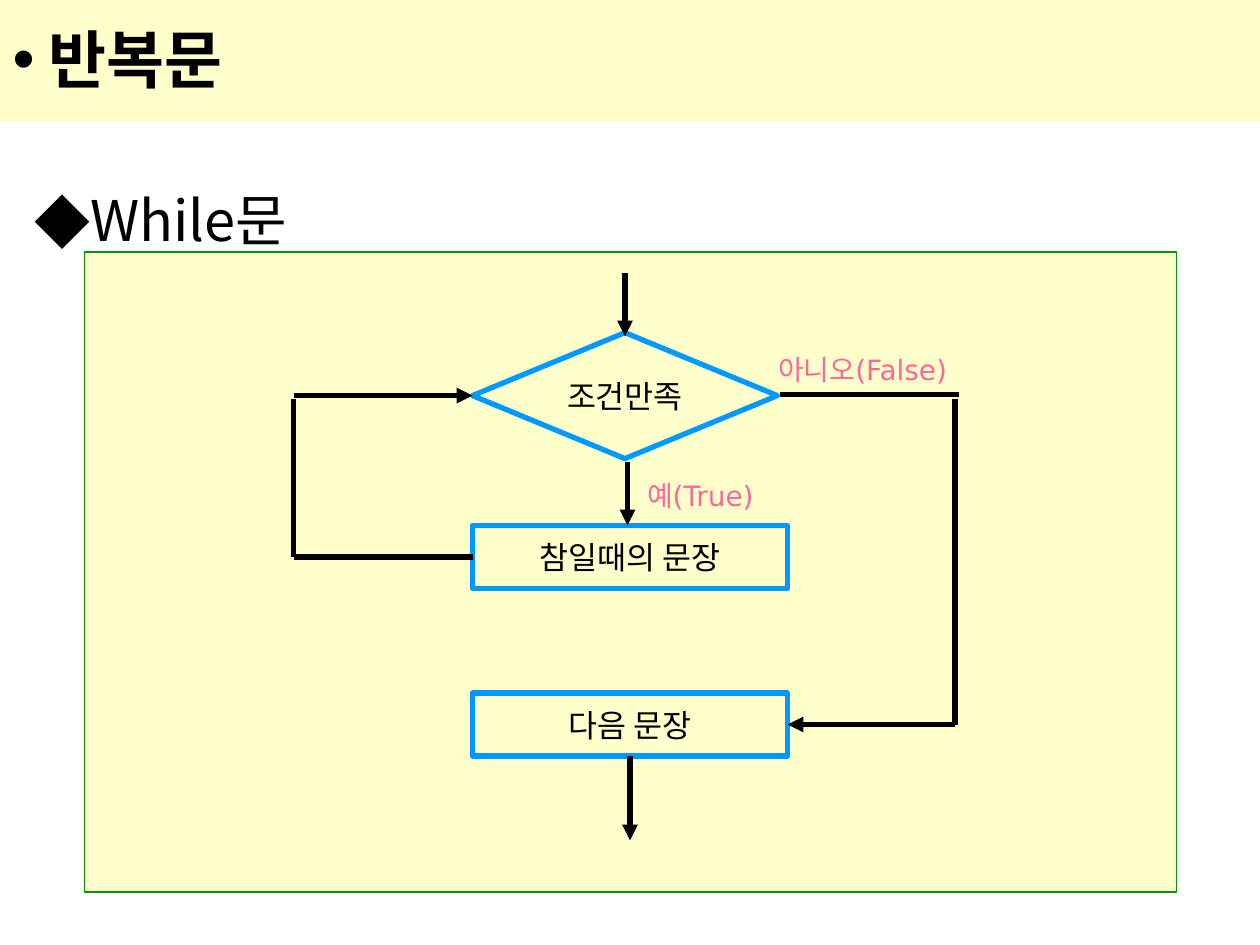
import pptx
import pptx.util
import pptx.dml.color
import pptx.enum.shapes
import pptx.enum.text
import pptx.oxml
import pptx.oxml.ns

Inches, Pt = pptx.util.Inches, pptx.util.Pt
SHAPE = pptx.enum.shapes.MSO_SHAPE
ALIGN = pptx.enum.text.PP_ALIGN
ANCHOR = pptx.enum.text.MSO_ANCHOR
AUTO = pptx.enum.text.MSO_AUTO_SIZE

COLORS = {"cream": "FFFFCC", "green": "009900", "blue": "0099FF",
          "pink": "FF6699", "black": "000000"}
CJK, LATIN = "Noto Sans CJK KR", "DejaVu Sans"


def rgb(name):
    return pptx.dml.color.RGBColor.from_string(COLORS[name])


def add_xml(parent, tag, **attrs):
    el = pptx.oxml.parse_xml(f'<a:{tag} {pptx.oxml.ns.nsdecls("a")}/>')
    for key, value in attrs.items():
        el.set(key, value)
    parent.append(el)


def set_text(tf, text, size=18, font=CJK, color="black", bold=False,
             align=ALIGN.LEFT, anchor=ANCHOR.TOP, wrap=True, before=0,
             auto_size=AUTO.NONE):
    tf.word_wrap, tf.vertical_anchor, tf.auto_size = wrap, anchor, auto_size
    p = tf.paragraphs[0]
    p.alignment, p.space_before = align, Pt(before)
    r = p.add_run()
    r.text = text
    r.font.name, r.font.size, r.font.bold = font, Pt(size), bold
    r.font.color.rgb = rgb(color)
    add_xml(r.font._element, "ea", typeface=font)
    return p


def set_bullet(p, char, font, indent=0):
    pPr = p._p.get_or_add_pPr()
    pPr.set("marL", str(Inches(indent)))
    pPr.set("indent", str(-Inches(indent)))
    add_xml(pPr, "buFont", typeface=font)
    add_xml(pPr, "buChar", char=char)


def place(sp, x, y, w, h):
    sp.left, sp.top, sp.width, sp.height = map(Inches, (x, y, w, h))


def add_box(s, kind, x, y, w, h, line, width, fill=None, text=None):
    sp = s.shapes.add_shape(kind, *map(Inches, (x, y, w, h)))
    sp.shadow.inherit = False
    if fill:
        sp.fill.solid()
        sp.fill.fore_color.rgb = rgb(fill)
    else:
        sp.fill.background()
    sp.line.color.rgb, sp.line.width = rgb(line), Pt(width)
    if text:
        set_text(sp.text_frame, text, align=ALIGN.CENTER,
                 anchor=ANCHOR.MIDDLE, wrap=False)


def add_line(s, x1, y1, x2, y2, arrow=False):
    c = s.shapes.add_connector(pptx.enum.shapes.MSO_CONNECTOR.STRAIGHT,
                               *map(Inches, (x1, y1, x2, y2)))
    c.line.color.rgb, c.line.width = rgb("black"), Pt(3)
    if arrow:
        add_xml(c.line._get_or_add_ln(), "tailEnd", type="triangle")
    add_xml(c._element.spPr, "effectLst")


def add_label(s, text, x, y, w, h, align):
    tb = s.shapes.add_textbox(*map(Inches, (x, y, w, h)))
    set_text(tb.text_frame, text, size=16, font=LATIN, color="pink",
             align=align, before=10, auto_size=AUTO.SHAPE_TO_FIT_TEXT)


def title_band(s, x, y, w, h):
    sp = s.shapes.title
    place(sp, x, y, w, h)
    sp.fill.solid()
    sp.fill.fore_color.rgb = rgb("cream")
    p = set_text(sp.text_frame, " 반복문", size=36, bold=True,
                 anchor=ANCHOR.MIDDLE)
    set_bullet(p, "•", "Arial")


def body_list(s, x, y, w, h):
    sp = s.placeholders[1]
    place(sp, x, y, w, h)
    p = set_text(sp.text_frame, "While문", size=32, before=8)
    set_bullet(p, "◆", CJK, 0.38)


def flowchart(s, x, y, w, h):
    add_box(s, SHAPE.RECTANGLE, x, y, w, h, "green", 0.75, fill="cream")

    # Condition and the two statements
    left, box_w, box_h = x + 3.08, 2.5, 0.5
    right = left + box_w
    cond_y, true_y, next_y = y + 0.64, y + 2.17, y + 3.5
    add_box(s, SHAPE.DIAMOND, left, cond_y, 2.42, 1, "blue", 3, text="조건만족")
    for top, text in ((true_y, "참일때의 문장"), (next_y, "다음 문장")):
        add_box(s, SHAPE.RECTANGLE, left, top, box_w, box_h, "blue", 3, text=text)

    # Downward flow
    for cx, y1, y2 in ((x + 4.29, y + 0.17, y + 0.67),
                       (x + 4.31, y + 1.67, true_y),
                       (x + 4.33, next_y + box_h, y + 4.67)):
        add_line(s, cx, y1, cx, y2, arrow=True)

    # Loop back to the condition
    loop_x, loop_y, cond_mid = x + 1.66, true_y + box_h / 2, cond_y + 0.5
    add_line(s, left, loop_y, loop_x, loop_y)
    add_line(s, loop_x, cond_mid + 0.03, loop_x, loop_y)
    add_line(s, loop_x, cond_mid, left, cond_mid, arrow=True)

    # Exit to the next statement
    exit_x, exit_y = x + 6.91, next_y + box_h / 2
    add_line(s, exit_x + 0.03, cond_mid - 0.01, left + 2.44, cond_mid - 0.01)
    add_line(s, exit_x, cond_mid + 0.03, exit_x, exit_y)
    add_line(s, exit_x, exit_y, right, exit_y, arrow=True)

    # Branch labels
    add_label(s, "예(True)", x + 4.16, y + 1.75, 1.25, 0.37, ALIGN.RIGHT)
    add_label(s, "아니오(False)", x + 5.41, y + 0.75, 1.67, 0.37, ALIGN.LEFT)


def main():
    prs = pptx.Presentation()
    prs.slide_width, prs.slide_height = Inches(10), Inches(7.5)
    s = prs.slides.add_slide(prs.slide_layouts[1])
    title_band(s, 0, -0.03, 10, 0.99)
    body_list(s, 0.17, 1.42, 9.67, 5.92)
    flowchart(s, 0.67, 2, 8.67, 5.08)
    prs.save("out.pptx")


if __name__ == "__main__":
    main()
